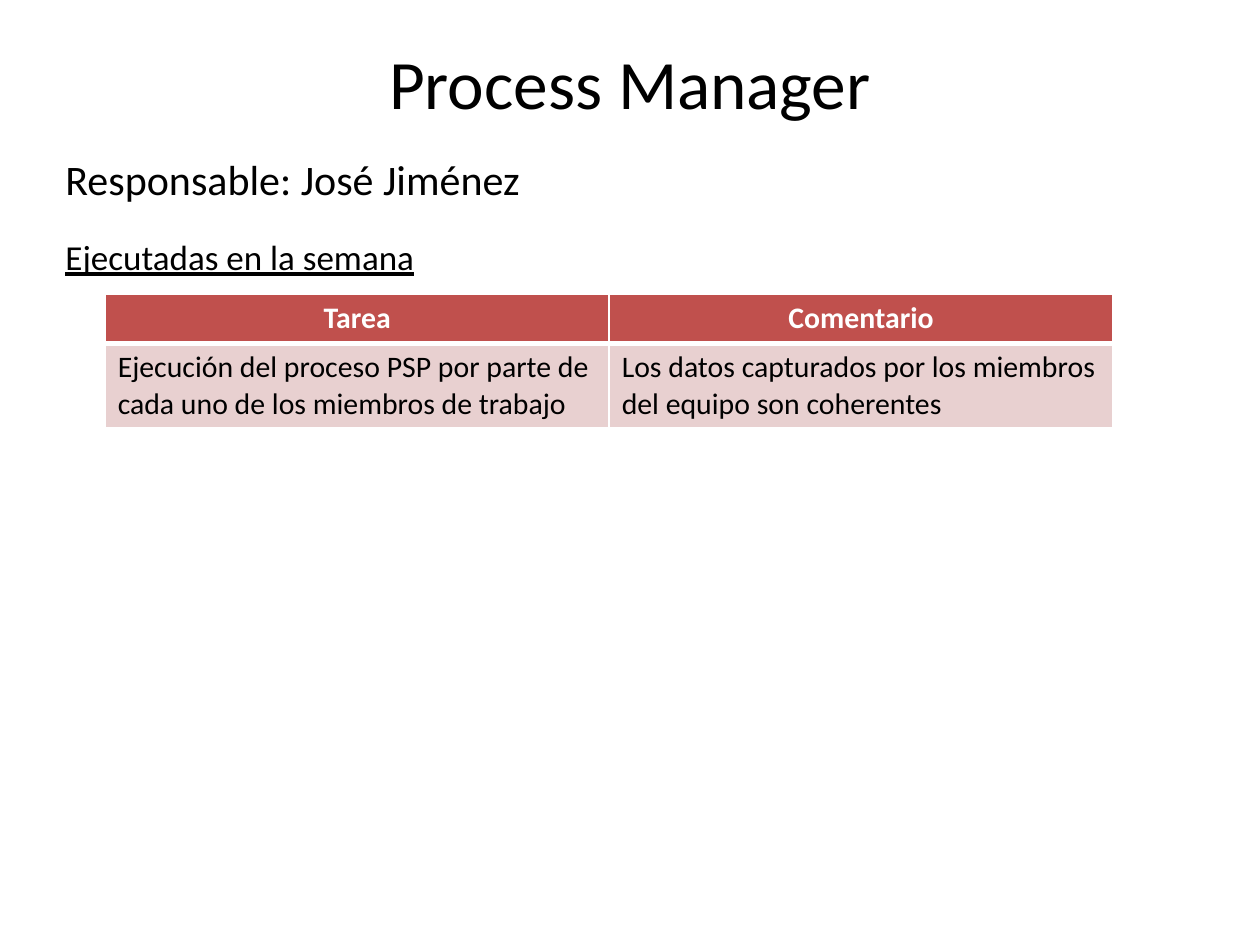
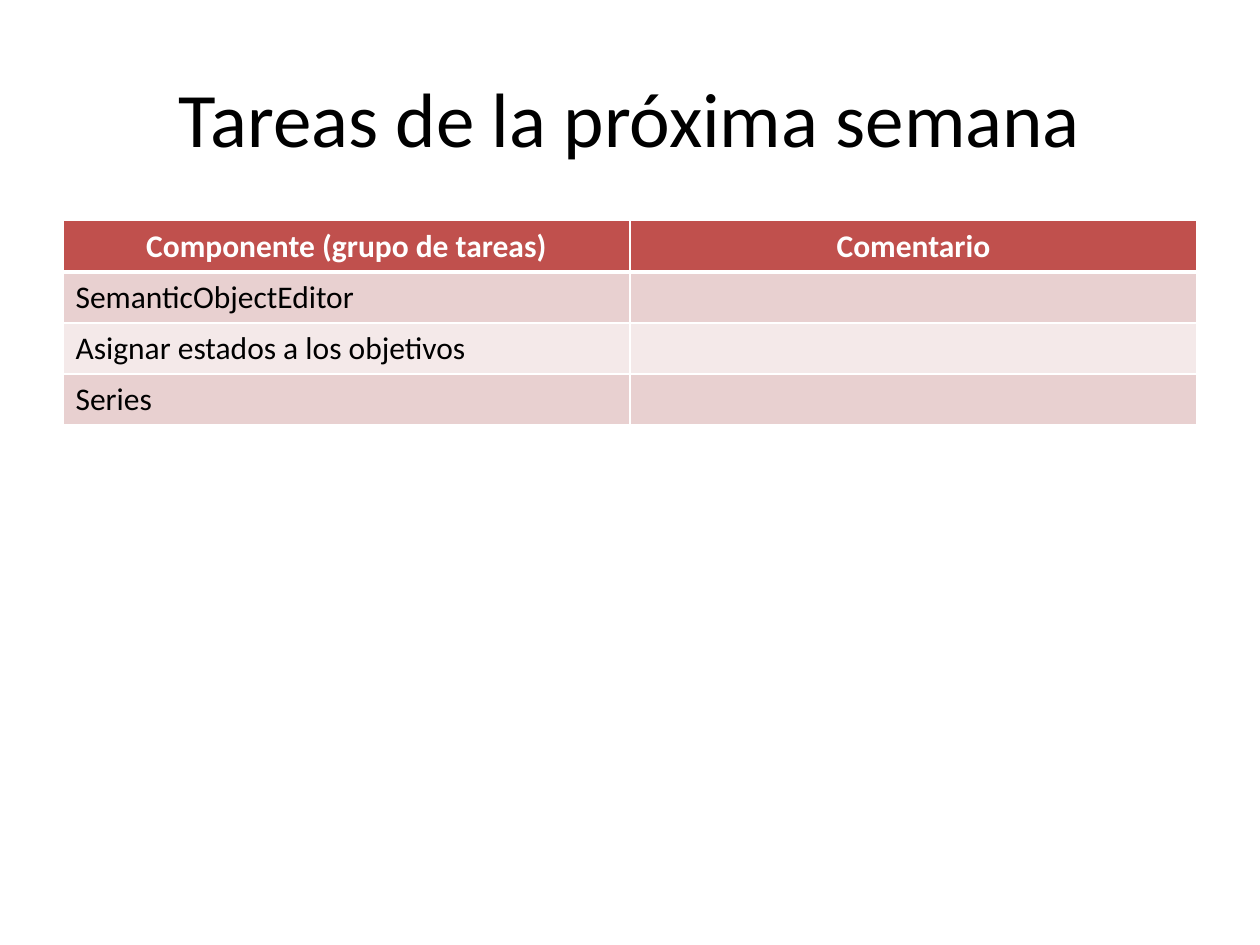
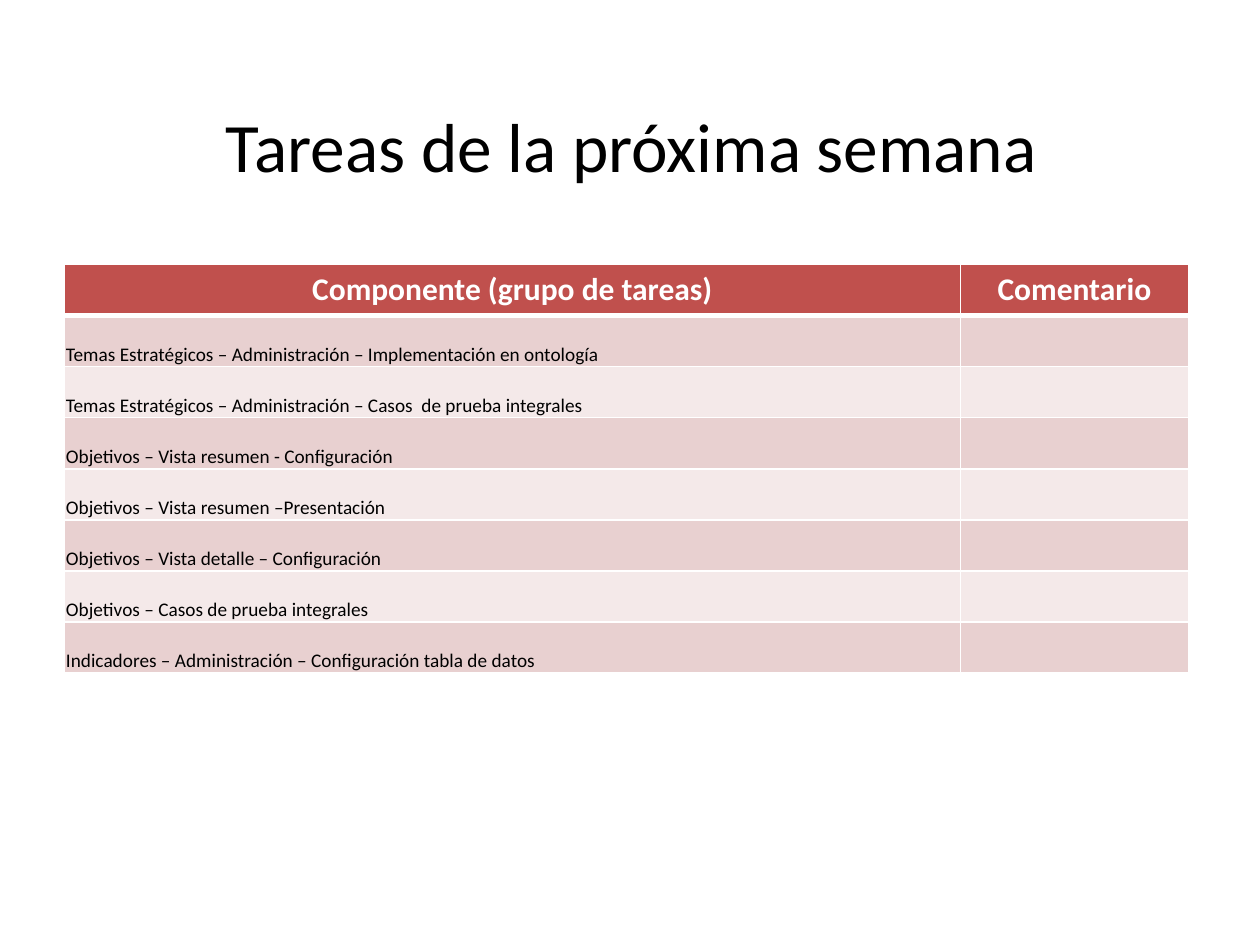
from lxml.etree import SubElement
from pptx import Presentation
from pptx.dml.color import RGBColor
from pptx.enum.text import MSO_ANCHOR, PP_ALIGN
from pptx.oxml.ns import qn
from pptx.util import Cm, Pt

COLORS = {"text": "000000", "white": "FFFFFF", "header": "C0504D",
          "band_dark": "E8D0D0", "band_light": "F4E9E9"}
FONT = "Calibri"


def add_run(p, text, size, color="text", bold=False, underline=False):
    r = p.add_run()
    r.text = text
    r.font.name = FONT
    r.font.size = Pt(size)
    r.font.bold = bold
    r.font.underline = underline
    r.font.color.rgb = RGBColor.from_string(COLORS[color])


def add_border(cell, side, width):
    ln = SubElement(cell._tc.get_or_add_tcPr(), qn(f"a:{side}"), w=str(Pt(width)))
    fill = SubElement(ln, qn("a:solidFill"))
    SubElement(fill, qn("a:srgbClr"), val=COLORS["white"])


slides = [
    {
        "title": "Process Manager", "title_size": 39.6,
        "title_box": (1.27, 0.76, 22.86, 1.78),
        "lines": [("Responsable: José Jiménez", 24, False, 0),
                  ("Ejecutadas en la semana", 20, True, 18)],
        "table_at": (2.12, 5.93), "cols": (10.16, 10.16), "heights": (0.99, 1.68),
        "header_size": 17, "body_size": 17, "compact": False,
        "rows": [("Tarea", "Comentario"),
                 ("Ejecución del proceso PSP por parte de cada uno de los miembros de trabajo",
                  "Los datos capturados por los miembros del equipo son coherentes")],
    },
    {
        "title": "Tareas de la próxima semana", "title_size": 44,
        "title_box": (1.27, 0.76, 22.86, 3.18),
        "lines": [],
        "table_at": (1.27, 4.45), "cols": (11.43, 11.43), "heights": (1.03,) * 4,
        "header_size": 18, "body_size": 18, "compact": False,
        "rows": [("Componente (grupo de tareas)", "Comentario"),
                 ("SemanticObjectEditor", ""),
                 ("Asignar estados a los objetivos", ""),
                 ("Series", "")],
    },
    {
        "title": "Tareas de la próxima semana", "title_size": 39.6,
        "title_box": (1.3, 1.93, 22.86, 1.96),
        "lines": [],
        "table_at": (1.3, 5.33), "cols": (18.06, 4.6), "heights": (1.03,) * 8,
        "header_size": 18, "body_size": 11, "compact": True,
        "rows": [("Componente (grupo de tareas)", "Comentario"),
                 ("Temas Estratégicos – Administración – Implementación en ontología", ""),
                 ("Temas Estratégicos – Administración – Casos  de prueba integrales", ""),
                 ("Objetivos – Vista resumen - Configuración", ""),
                 ("Objetivos – Vista resumen –Presentación", ""),
                 ("Objetivos – Vista detalle – Configuración", ""),
                 ("Objetivos – Casos de prueba integrales", ""),
                 ("Indicadores – Administración – Configuración tabla de datos", "")],
    },
]

prs = Presentation()
prs.slide_width = Cm(25.4)
prs.slide_height = Cm(19.05)

for data in slides:
    s = prs.slides.add_slide(prs.slide_layouts[5])
    title = s.shapes.title
    title.left, title.top, title.width, title.height = map(Cm, data["title_box"])
    tf = title.text_frame
    tf.vertical_anchor = MSO_ANCHOR.MIDDLE
    p = tf.paragraphs[0]
    p.alignment = PP_ALIGN.CENTER
    add_run(p, data["title"], data["title_size"])

    if data["lines"]:
        sp = s.shapes.add_textbox(Cm(1.07), Cm(2.97), Cm(23.7), Cm(3.18))
        tf = sp.text_frame
        tf.word_wrap = True
        for i, (text, size, underline, before) in enumerate(data["lines"]):
            p = tf.add_paragraph() if i else tf.paragraphs[0]
            p.space_before = Pt(before)
            add_run(p, text, size, underline=underline)

    left, top = map(Cm, data["table_at"])
    width, height = Cm(sum(data["cols"])), Cm(sum(data["heights"]))
    table = s.shapes.add_table(len(data["rows"]), 2, left, top, width, height).table
    for col, w in zip(table.columns, data["cols"]):
        col.width = Cm(w)
    for i, row in enumerate(data["rows"]):
        table.rows[i].height = Cm(data["heights"][i])
        for j, text in enumerate(row):
            cell = table.cell(i, j)
            add_border(cell, "lnL", 1)
            add_border(cell, "lnR", 1)
            add_border(cell, "lnT", 3 if i == 1 else 1)
            add_border(cell, "lnB", 3 if i == 0 else 1)
            band = "header" if i == 0 else "band_dark" if i % 2 else "band_light"
            cell.fill.solid()
            cell.fill.fore_color.rgb = RGBColor.from_string(COLORS[band])
            p = cell.text_frame.paragraphs[0]
            if i == 0:
                p.alignment = PP_ALIGN.CENTER
                add_run(p, text, data["header_size"], "white", bold=True)
            elif text:
                add_run(p, text, data["body_size"])
                if data["compact"]:
                    cell.vertical_anchor = MSO_ANCHOR.BOTTOM
                    cell.margin_left = cell.margin_right = cell.margin_top = Cm(0.03)
                    cell.margin_bottom = Cm(0)

prs.save("out.pptx")
